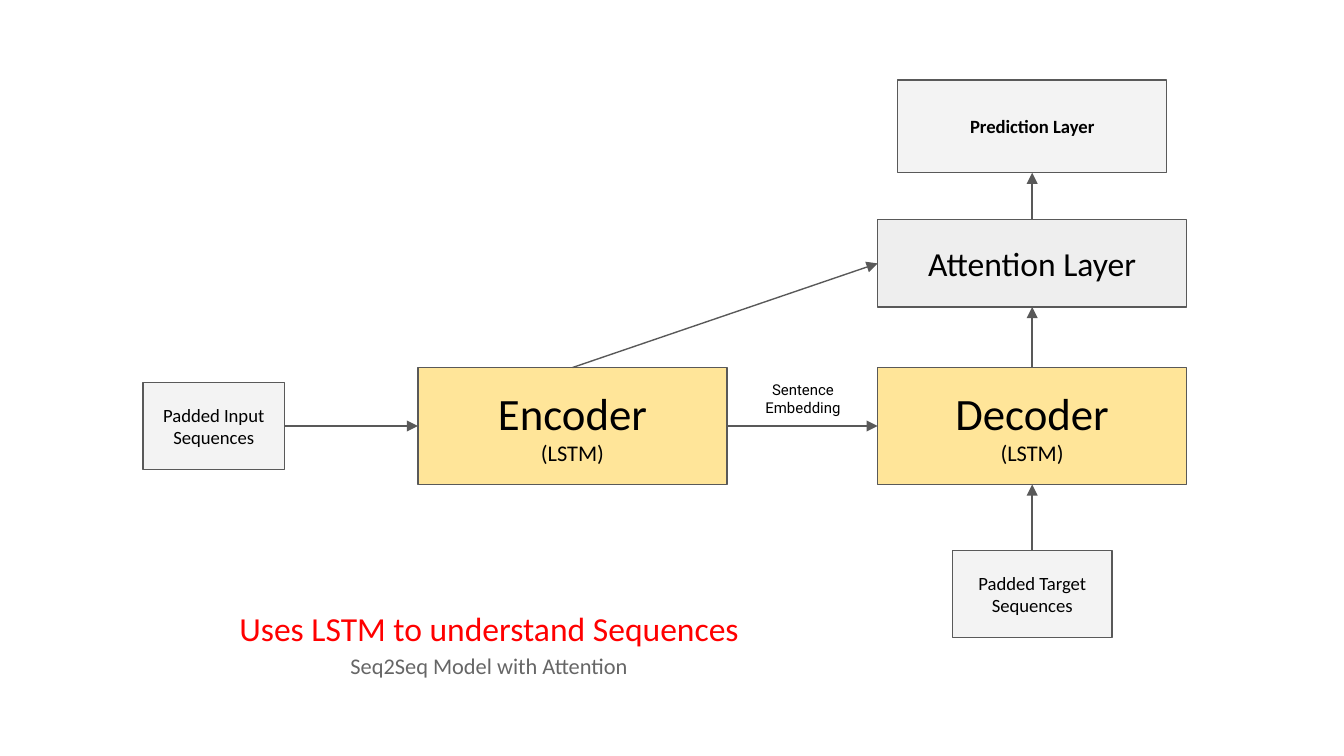
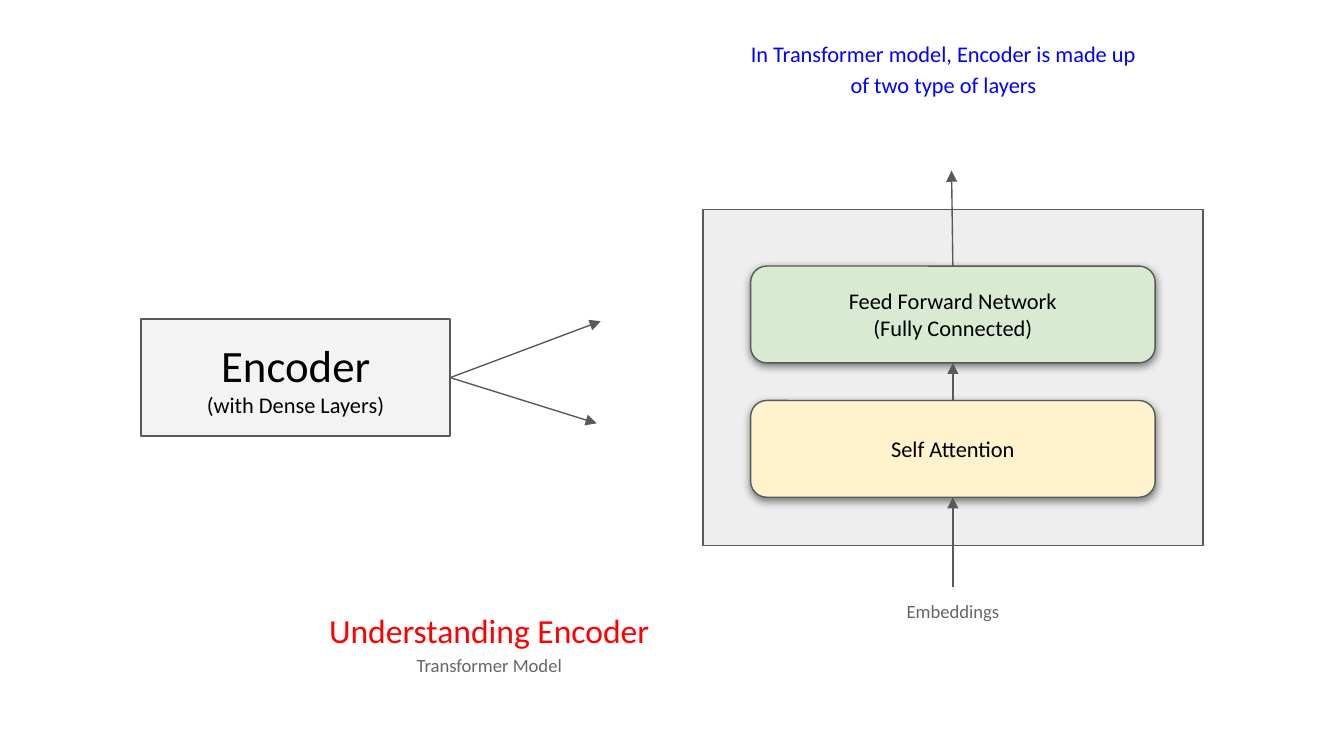
from lxml import etree
from pptx import Presentation
from pptx import util as u
from pptx.dml.color import RGBColor
from pptx.enum import shapes, text
from pptx.oxml.ns import qn

BLACK = RGBColor(0x00, 0x00, 0x00)
RED = RGBColor(0xFF, 0x00, 0x00)
BLUE = RGBColor(0x00, 0x00, 0xFF)
MUTED = RGBColor(0x66, 0x66, 0x66)
STROKE = RGBColor(0x59, 0x59, 0x59)
PALE = RGBColor(0xF3, 0xF3, 0xF3)
GREY = RGBColor(0xEE, 0xEE, 0xEE)
GOLD = RGBColor(0xFF, 0xE5, 0x99)
CREAM = RGBColor(0xFF, 0xF2, 0xCC)
GREEN = RGBColor(0xD9, 0xEA, 0xD3)

FONT = "Calibri"
BLOCK = (2.3, 0.87)    # encoder and decoder
LAYER = (3.01, 0.72)   # layers inside the encoder
TOP, LEFT, BOTTOM, RIGHT = range(4)  # connection sites of a box

# Grid: column and row centres in inches
INPUT_X, ENCODER_X, DECODER_X = 1.59, 4.26, 7.68
PREDICT_Y, ATTEND_Y, MODEL_Y, TARGET_Y = 0.94, 1.96, 3.17, 4.42
DETAIL_X, DETAIL_Y = 7.09, 2.81

# Boxes: name: (centre, size, fill, rounded, [(line, points)], bold)
# Arrows: (box name, site) or a point, at each end
# Labels: (left, top, width, height, [(line, points, colour)], font, spacing, anchor)
MIDDLE, UPPER = text.MSO_ANCHOR.MIDDLE, text.MSO_ANCHOR.TOP
SLIDES = [
    {
        "caption": [("Uses LSTM to understand Sequences", 18, RED),
                    ("Seq2Seq Model with Attention", 12, MUTED)],
        "boxes": {
            "encoder": ((ENCODER_X, MODEL_Y), BLOCK, GOLD, False,
                        [("Encoder", 24), ("(LSTM)", 12)], False),
            "decoder": ((DECODER_X, MODEL_Y), BLOCK, GOLD, False,
                        [("Decoder", 24), ("(LSTM)", 12)], False),
            "input": ((INPUT_X, MODEL_Y), (1.05, 0.65), PALE, False,
                      [("Padded Input Sequences", 10)], False),
            "target": ((DECODER_X, TARGET_Y), (1.19, 0.65), PALE, False,
                       [("Padded Target Sequences", 10)], False),
            "prediction": ((DECODER_X, PREDICT_Y), (2, 0.69), PALE, False,
                           [("Prediction Layer", 10)], True),
            "attention": ((DECODER_X, ATTEND_Y), (2.3, 0.65), GREY, False,
                          [("Attention Layer", 18)], False),
        },
        "labels": [(5.45, 2.73, 1.05, 0.51, [("Sentence Embedding", 8, BLACK)],
                    "Roboto", None, UPPER)],
        "arrows": [
            (("encoder", RIGHT), ("decoder", LEFT)),
            (("input", RIGHT), ("encoder", LEFT)),
            (("target", TOP), ("decoder", BOTTOM)),
            (("encoder", TOP), ("attention", LEFT)),
            (("decoder", TOP), ("attention", BOTTOM)),
            (("attention", TOP), ("prediction", BOTTOM)),
        ],
    },
    {
        "caption": [("Understanding Encoder", 18, RED),
                    ("Transformer Model", 10, MUTED)],
        "boxes": {
            "encoder": ((2.2, DETAIL_Y), BLOCK, PALE, False,
                        [("Encoder", 24), ("(with Dense Layers)", 12)], False),
            "panel": ((DETAIL_X, DETAIL_Y), (3.72, 2.5), GREY, False, [], False),
            "feed": ((DETAIL_X, 2.34), LAYER, GREEN, True,
                     [("Feed Forward Network", 12), ("(Fully Connected)", 12)], False),
            "self": ((DETAIL_X, 3.34), LAYER, CREAM, True,
                     [("Self Attention", 12)], False),
        },
        "labels": [
            (5.45, 0.25, 3.14, 0.5,
             [("In Transformer model, Encoder is made up of two type of layers", 12, BLUE)],
             FONT, 1.15, MIDDLE),
            (5.23, 4.37, 3.72, 0.33, [("Embeddings", 10, MUTED)], FONT, 1.15, MIDDLE),
        ],
        "arrows": [
            (("encoder", RIGHT), (4.47, 2.39)),
            (("encoder", RIGHT), (4.44, 3.15)),
            ((DETAIL_X, 4.37), ("self", BOTTOM)),
            (("self", TOP), ("feed", BOTTOM)),
            (("feed", TOP), (7.08, 1.27)),
        ],
    },
]


def write(sp, lines, font=FONT, spacing=None, anchor=MIDDLE, bold=False):
    tf = sp.text_frame
    tf.word_wrap = True
    tf.vertical_anchor = anchor
    tf.margin_left = tf.margin_right = tf.margin_top = tf.margin_bottom = u.Inches(0.1)
    for i, (line, size, color) in enumerate(lines):
        p = tf.add_paragraph() if i else tf.paragraphs[0]
        p.text = line
        p.alignment = text.PP_ALIGN.CENTER
        if spacing:
            p.line_spacing = spacing
        p.font.name, p.font.size, p.font.bold = font, u.Pt(size), bold
        p.font.color.rgb = color


def add_label(s, x, y, w, h, lines, font=FONT, spacing=1.15, anchor=MIDDLE):
    sp = s.shapes.add_textbox(*map(u.Inches, (x, y, w, h)))
    write(sp, lines, font, spacing, anchor)


def add_shadow(sp):
    effects = sp._element.spPr.find(qn("a:effectLst"))
    shadow = etree.SubElement(effects, qn("a:outerShdw"), blurRad=str(u.Pt(4.5)),
                              dist=str(u.Pt(1.5)), dir="5400000",
                              algn="bl", rotWithShape="0")
    color = etree.SubElement(shadow, qn("a:srgbClr"), val=str(BLACK))
    etree.SubElement(color, qn("a:alpha"), val="50000")


def add_box(s, center, size, fill, rounded, lines, bold):
    (cx, cy), (w, h) = center, size
    kind = shapes.MSO_SHAPE.ROUNDED_RECTANGLE if rounded else shapes.MSO_SHAPE.RECTANGLE
    sp = s.shapes.add_shape(kind, *map(u.Inches, (cx - w / 2, cy - h / 2, w, h)))
    sp.shadow.inherit = False
    if rounded:
        add_shadow(sp)
    sp.fill.solid()
    sp.fill.fore_color.rgb = fill
    sp.line.color.rgb = STROKE
    sp.line.width = u.Pt(0.75)
    write(sp, [(line, points, BLACK) for line, points in lines], bold=bold)
    return sp


def add_arrow(s, boxes, start, end):
    def point(place):
        return (0, 0) if place[0] in boxes else tuple(map(u.Inches, place))

    line = s.shapes.add_connector(shapes.MSO_CONNECTOR.STRAIGHT, *point(start), *point(end))
    for place, connect in ((start, line.begin_connect), (end, line.end_connect)):
        if place[0] in boxes:
            connect(boxes[place[0]], place[1])
    line.line.color.rgb = STROKE
    line.line.width = u.Pt(0.75)
    etree.SubElement(line._element.spPr.find(qn("a:ln")), qn("a:tailEnd"), type="triangle")
    etree.SubElement(line._element.spPr, qn("a:effectLst"))


def main():
    prs = Presentation()
    prs.slide_width = u.Inches(10)
    prs.slide_height = prs.slide_width * 9 // 16
    for content in SLIDES:
        s = prs.slides.add_slide(prs.slide_layouts[6])
        boxes = {name: add_box(s, *box) for name, box in content["boxes"].items()}
        for label in content["labels"]:
            add_label(s, *label)
        for start, end in content["arrows"]:
            add_arrow(s, boxes, start, end)
        # Shared caption at the lower left
        add_label(s, 0.99, 4.29, 5.3, 0.95, content["caption"])
    prs.save("out.pptx")


if __name__ == "__main__":
    main()
